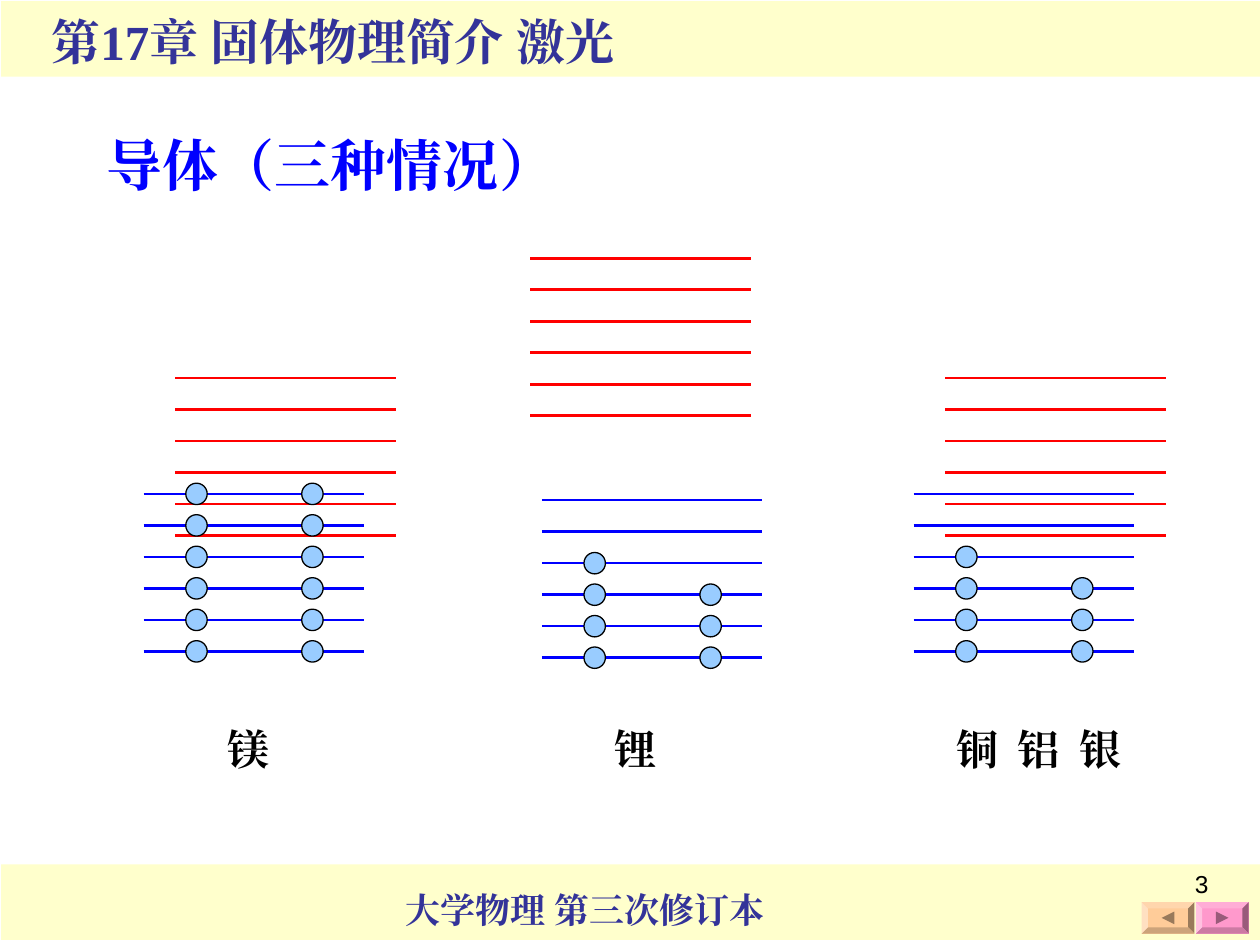
from copy import deepcopy

from lxml.etree import SubElement
from pptx import Presentation
from pptx.dml.color import RGBColor
from pptx.enum.shapes import MSO_CONNECTOR as Connector, MSO_SHAPE as Shape
from pptx.enum.text import PP_ALIGN as Align
from pptx.oxml.ns import qn
from pptx.util import Inches, Pt

CREAM = RGBColor(0xFF, 0xFF, 0xCC)
INDIGO = RGBColor(0x33, 0x33, 0x99)
BLUE = RGBColor(0x00, 0x00, 0xFF)
RED = RGBColor(0xFF, 0x00, 0x00)
BLACK = RGBColor(0x00, 0x00, 0x00)
SKY = RGBColor(0x99, 0xCC, 0xFF)
PINK = RGBColor(0xFF, 0x99, 0xCC)
PEACH = RGBColor(0xFF, 0xCC, 0x99)

LEVELS = 6
LEVEL_GAP = 0.25
LEVEL_WIDTH = 1.75
ELECTRON_SIZE = 0.17
ELECTRON_COLUMNS = (0.42, 1.34)  # centres, from the left end of a level


class SlideBuilder:
    """Holds the text style and the current slide."""

    font_name = "Times New Roman"

    def __init__(self, slide):
        self.slide = slide

    def text(self, text, left, top, width, height, *, size, color=BLACK, bold=True,
             font=None, align=Align.LEFT, wrap=False, tab_stops=()):
        box = self.slide.shapes.add_textbox(
            Inches(left), Inches(top), Inches(width), Inches(height))
        frame = box.text_frame
        frame.word_wrap = wrap
        paragraph = frame.paragraphs[0]
        paragraph.text = text
        paragraph.alignment = align
        if tab_stops:
            tab_list = SubElement(paragraph._p.get_or_add_pPr(), qn("a:tabLst"))
            for stop in tab_stops:
                SubElement(tab_list, qn("a:tab"), pos=str(Inches(stop)), algn="l")
        run_font = paragraph.runs[0].font
        run_font.name = font or self.font_name
        run_font.size = Pt(size)
        run_font.bold = bold
        run_font.color.rgb = color
        # East Asian glyphs use the same font
        SubElement(run_font._element, qn("a:ea"), typeface=run_font.name)

    def band(self, top):
        band = self.slide.shapes.add_shape(
            Shape.RECTANGLE, Inches(0.01), Inches(top), Inches(9.99), Inches(0.6))
        band.shadow.inherit = False
        band.fill.solid()
        band.fill.fore_color.rgb = CREAM
        band.line.fill.background()

    def level(self, group, left, y, color):
        line = group.shapes.add_connector(
            Connector.STRAIGHT, Inches(left), Inches(y), Inches(left + LEVEL_WIDTH), Inches(y))
        line.line.color.rgb = color
        line.line.width = Pt(1.5)
        SubElement(line._element.spPr, qn("a:effectLst"))

    def electron(self, group, center_x, center_y):
        radius = ELECTRON_SIZE / 2
        electron = group.shapes.add_shape(
            Shape.OVAL, Inches(center_x - radius), Inches(center_y - radius),
            Inches(ELECTRON_SIZE), Inches(ELECTRON_SIZE))
        electron.shadow.inherit = False
        electron.fill.solid()
        electron.fill.fore_color.rgb = SKY
        electron.line.color.rgb = BLACK
        electron.line.width = Pt(0.75)

    def band_diagram(self, upper, lower, electron_counts):
        """Red upper levels, blue lower levels, electrons filled from the bottom."""
        group = self.slide.shapes.add_group_shape()
        for index in range(LEVELS):
            self.level(group, upper[0], upper[1] + index * LEVEL_GAP, RED)
        for index in range(LEVELS):
            y = lower[1] + index * LEVEL_GAP
            self.level(group, lower[0], y, BLUE)
            for column, count in zip(ELECTRON_COLUMNS, electron_counts):
                if index >= LEVELS - count:
                    self.electron(group, lower[0] + column, y)

    def navigation_button(self, left, color, direction):
        """Bevelled button; direction is 1 for next and -1 for previous."""
        top, width, height, bevel = 7.16, 0.42, 0.25, 0.05
        right, bottom = left + width, top + height
        middle_x, middle_y = left + width / 2, top + height / 2
        outer = [(left, top), (right, top), (right, bottom), (left, bottom)]
        inner = [(left + bevel, top + bevel), (right - bevel, top + bevel),
                 (right - bevel, bottom - bevel), (left + bevel, bottom - bevel)]
        contours = [outer]
        for side in range(4):
            following = (side + 1) % 4
            contours.append([outer[side], outer[following], inner[following], inner[side]])
        base_x = middle_x - 0.05 * direction
        contours.append([(base_x, middle_y - 0.05),
                         (middle_x + 0.05 * direction, middle_y),
                         (base_x, middle_y + 0.05)])

        contours = [[(Inches(x), Inches(y)) for x, y in contour] for contour in contours]
        builder = self.slide.shapes.build_freeform(*contours[0][0])
        for index, contour in enumerate(contours):
            if index:
                builder.move_to(*contour[0])
            builder.add_line_segments(contour[1:], close=True)
        button = builder.convert_to_shape()
        button.shadow.inherit = False
        button.fill.solid()
        button.fill.fore_color.rgb = color
        button.line.fill.background()

        # One shaded path for each face: front, top, right, bottom, left, arrow
        shades = ("norm", "lightenLess", "darken", "darkenLess", "lighten", "darken")
        path_list = button._element.spPr.find(".//" + qn("a:pathLst"))
        whole = path_list[0]
        steps = list(whole)
        starts = [i for i, step in enumerate(steps) if step.tag == qn("a:moveTo")]
        for shade, start, end in zip(shades, starts, starts[1:] + [len(steps)]):
            face = SubElement(path_list, qn("a:path"), dict(whole.attrib))
            face.set("fill", shade)
            for step in steps[start:end]:
                face.append(deepcopy(step))
        path_list.remove(whole)


def main():
    presentation = Presentation()
    presentation.slide_width = Inches(10)
    presentation.slide_height = Inches(7.5)
    builder = SlideBuilder(presentation.slides.add_slide(presentation.slide_layouts[6]))

    # Header and footer
    builder.band(6.86)
    builder.band(0.01)
    builder.text("大学物理 第三次修订本", 3.12, 7, 3.12, 0.44, size=20, color=INDIGO)
    builder.text("第17章 固体物理简介 激光", 0.31, 0.04, 5.04, 0.57, size=28, color=INDIGO)
    builder.navigation_button(9.49, PINK, 1)
    builder.navigation_button(9.06, PEACH, -1)

    # Energy bands: lithium, magnesium, then copper, aluminium and silver
    builder.band_diagram((4.21, 2.05), (4.3, 3.97), (4, 3))
    builder.band_diagram((1.39, 3), (1.14, 3.92), (6, 6))
    builder.band_diagram((7.5, 3), (7.25, 3.92), (4, 3))

    # Element names
    builder.text("锂", 4.78, 5.69, 0.53, 0.5, size=24)
    builder.text("镁", 1.71, 5.69, 0.53, 0.5, size=24)
    builder.text("铜\t铝\t银", 7.49, 5.69, 1.55, 0.5, size=24, wrap=True,
                 tab_stops=(0.49, 0.98))

    # Title and page number
    builder.text("导体（三种情况）", 0.75, 0.99, 4.96, 0.64, size=32, color=BLUE, wrap=True)
    builder.text("3", 7.36, 6.85, 2.33, 0.52, size=14, bold=False, font="Arial",
                 align=Align.RIGHT, wrap=True)

    presentation.save("out.pptx")


if __name__ == "__main__":
    main()
